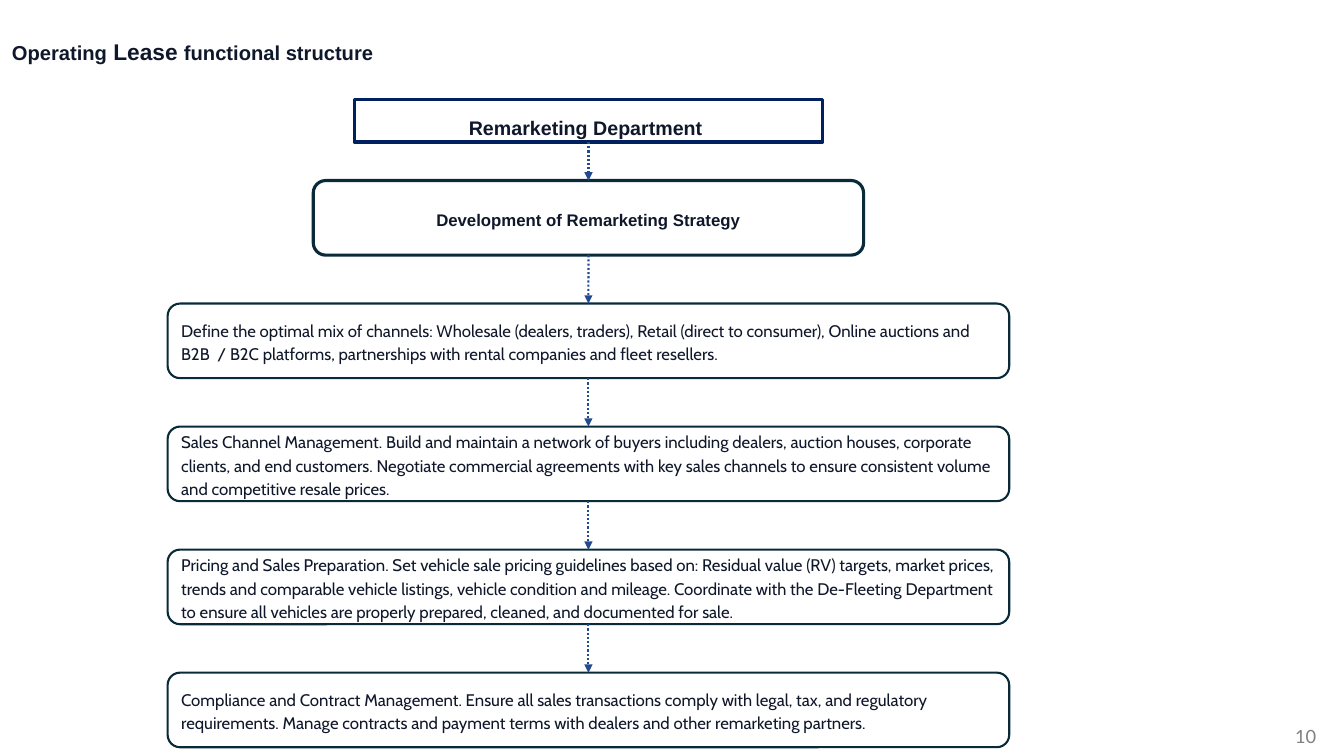
"""Build the remarketing department flow slide."""
from dataclasses import dataclass
from itertools import pairwise

from lxml.etree import SubElement
from pptx import Presentation
from pptx.dml.color import RGBColor
from pptx.enum.dml import MSO_LINE
from pptx.enum.shapes import MSO_CONNECTOR, MSO_SHAPE
from pptx.enum.text import MSO_ANCHOR, MSO_AUTO_SIZE, PP_ALIGN
from pptx.oxml.ns import qn
from pptx.shapes.autoshape import Shape
from pptx.slide import Slide
from pptx.text.text import Font
from pptx.util import Cm, Pt

INK = RGBColor(0x0F, 0x17, 0x2A)
NAVY = RGBColor(0x00, 0x20, 0x60)
TEAL = RGBColor(0x09, 0x2A, 0x39)
BLUE = RGBColor(0x22, 0x4A, 0x90)
GREY = RGBColor(0x80, 0x80, 0x80)
WHITE = RGBColor(0xFF, 0xFF, 0xFF)

CENTER = 14.83
STEP_TOP = 7.65
STEP_PITCH = 3.1
STEP_HEIGHT = 1.88


@dataclass(frozen=True)
class Box:
    """A centred box of the flow, measured in centimetres."""
    text: str
    top: float
    width: float = 21.21
    height: float = STEP_HEIGHT
    kind: MSO_SHAPE = MSO_SHAPE.ROUNDED_RECTANGLE
    line_color: RGBColor = TEAL
    line_width: float = 1.5
    filled: bool = True
    font_name: str = "Cabin"
    font_size: float = 12
    bold: bool = False
    align: PP_ALIGN = PP_ALIGN.LEFT
    anchor: MSO_ANCHOR = MSO_ANCHOR.MIDDLE
    line_spacing: float = 1.15
    space_after: float = 8


DEPARTMENT = Box(
    "Remarketing Department ", 2.51, 11.81, 1.07, MSO_SHAPE.RECTANGLE, NAVY, 2.25,
    filled=False, font_name="Arial", font_size=14, bold=True, align=PP_ALIGN.CENTER,
    anchor=MSO_ANCHOR.TOP, line_spacing=1.5, space_after=0)
STRATEGY = Box(
    "Development of Remarketing Strategy", 4.55, 13.87, line_width=2.25,
    font_name="Arial", bold=True, align=PP_ALIGN.CENTER)
STEPS = (
    "Define the optimal mix of channels: Wholesale (dealers, traders), Retail (direct to "
    "consumer), Online auctions and B2B  / B2C platforms, partnerships with rental "
    "companies and fleet resellers.",
    "Sales Channel Management. Build and maintain a network of buyers including dealers, "
    "auction houses, corporate clients, and end customers. Negotiate commercial agreements "
    "with key sales channels to ensure consistent volume and competitive resale prices.",
    "Pricing and Sales Preparation. Set vehicle sale pricing guidelines based on: Residual "
    "value (RV) targets, market prices, trends and comparable vehicle listings, vehicle "
    "condition and mileage. Coordinate with the De-Fleeting Department to ensure all "
    "vehicles are properly prepared, cleaned, and documented for sale.",
    "Compliance and Contract Management. Ensure all sales transactions comply with legal, "
    "tax, and regulatory requirements. Manage contracts and payment terms with dealers and "
    "other remarketing partners.",
)
TITLE = (("Operating", 14.4), (" Lease ", 16.2), ("functional structure", 14.4))


def set_font(font: Font, name: str, size: float, color: RGBColor, bold: bool) -> None:
    """Set the look of a font."""
    font.name, font.size, font.bold = name, Pt(size), bold
    font.color.rgb = color


def add_box(page: Slide, box: Box) -> Shape:
    """Draw one box of the flow."""
    shape = page.shapes.add_shape(
        box.kind, Cm(CENTER - box.width / 2), Cm(box.top), Cm(box.width), Cm(box.height))
    shape.shadow.inherit = False
    if box.filled:
        shape.fill.solid()
        shape.fill.fore_color.rgb = WHITE
    else:
        shape.fill.background()
    shape.line.color.rgb = box.line_color
    shape.line.width = Pt(box.line_width)
    frame = shape.text_frame
    frame.word_wrap = True
    frame.vertical_anchor = box.anchor
    para = frame.paragraphs[0]
    para.text = box.text
    para.alignment = box.align
    para.line_spacing = box.line_spacing
    para.space_after = Pt(box.space_after)
    set_font(para.font, box.font_name, box.font_size, INK, box.bold)
    return shape


def add_arrow(page: Slide, upper: Shape, lower: Shape) -> None:
    """Join two boxes with a dotted arrow."""
    arrow = page.shapes.add_connector(MSO_CONNECTOR.STRAIGHT, 0, 0, 0, 0)
    arrow.begin_connect(upper, 2)
    arrow.end_connect(lower, 0)
    arrow.line.color.rgb = BLUE
    arrow.line.width = Pt(1.5)
    arrow.line.dash_style = MSO_LINE.ROUND_DOT
    properties = arrow.element.spPr
    SubElement(properties.find(qn("a:ln")), qn("a:tailEnd"), type="triangle")
    SubElement(properties, qn("a:effectLst"))


def add_title(page: Slide) -> None:
    """Write the slide title."""
    frame = page.shapes.add_textbox(Cm(0.05), Cm(0.91), Cm(28.09), Cm(0.86)).text_frame
    frame.word_wrap = True
    frame.vertical_anchor = MSO_ANCHOR.MIDDLE
    para = frame.paragraphs[0]
    para.line_spacing = 0.9
    for text, size in TITLE:
        span = para.add_run()
        span.text = text
        set_font(span.font, "Arial", size, INK, True)


def add_page_number(page: Slide) -> None:
    """Write the page number."""
    frame = page.shapes.add_textbox(Cm(31.39), Cm(18.14), Cm(2.03), Cm(0.81)).text_frame
    frame.word_wrap = True
    frame.auto_size = MSO_AUTO_SIZE.SHAPE_TO_FIT_TEXT
    para = frame.paragraphs[0]
    para.text = "10"
    para.alignment = PP_ALIGN.RIGHT
    set_font(para.font, "Lato", 13, GREY, False)


def main() -> None:
    """Build and save the deck."""
    deck = Presentation()
    deck.slide_width, deck.slide_height = Cm(33.87), Cm(19.05)
    page = deck.slides.add_slide(deck.slide_layouts[6])
    add_page_number(page)
    add_title(page)
    steps = [Box(text, STEP_TOP + index * STEP_PITCH) for index, text in enumerate(STEPS)]
    shapes = [add_box(page, box) for box in (DEPARTMENT, STRATEGY, *steps)]
    for upper, lower in pairwise(shapes):
        add_arrow(page, upper, lower)
    deck.save("out.pptx")


if __name__ == "__main__":
    main()
